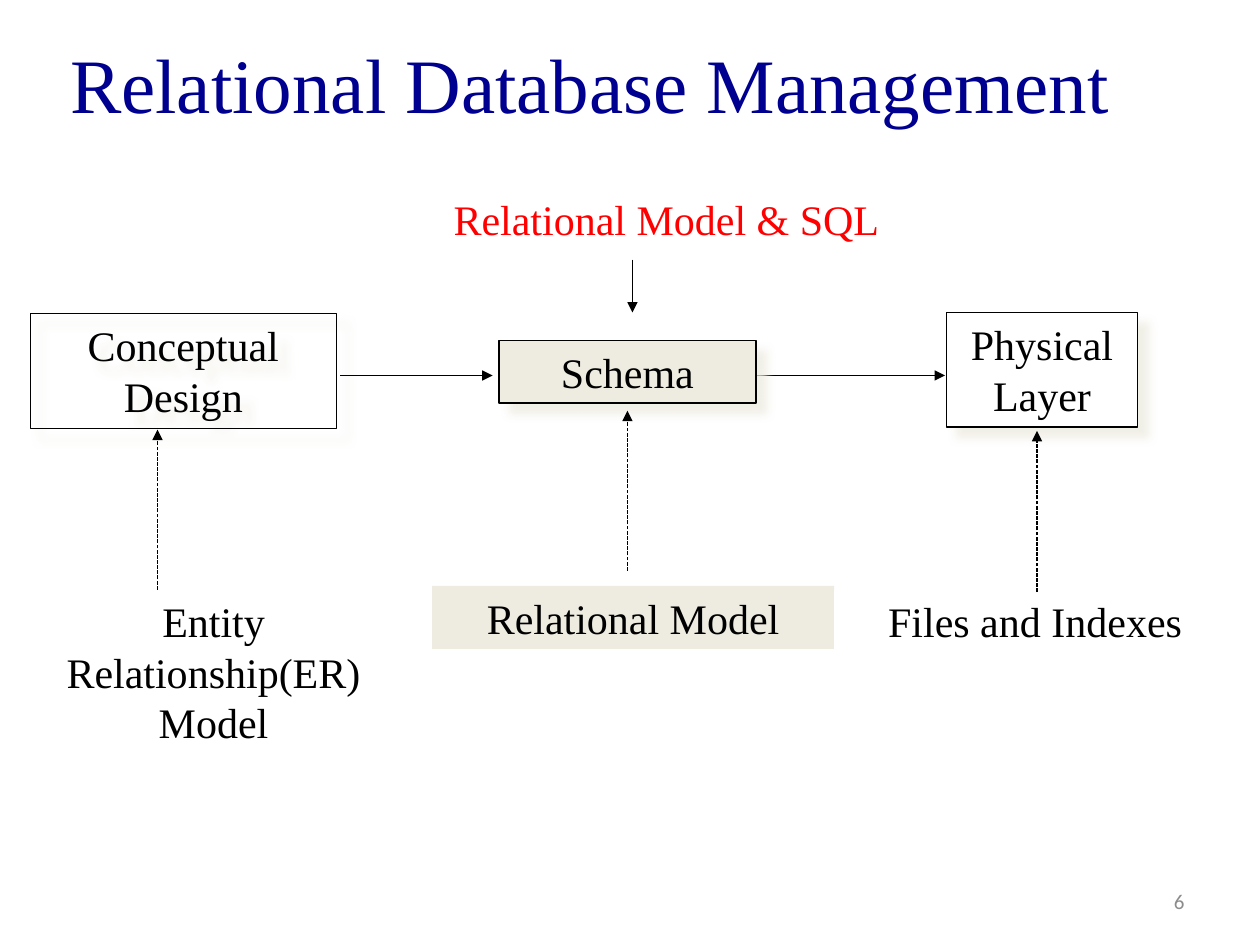
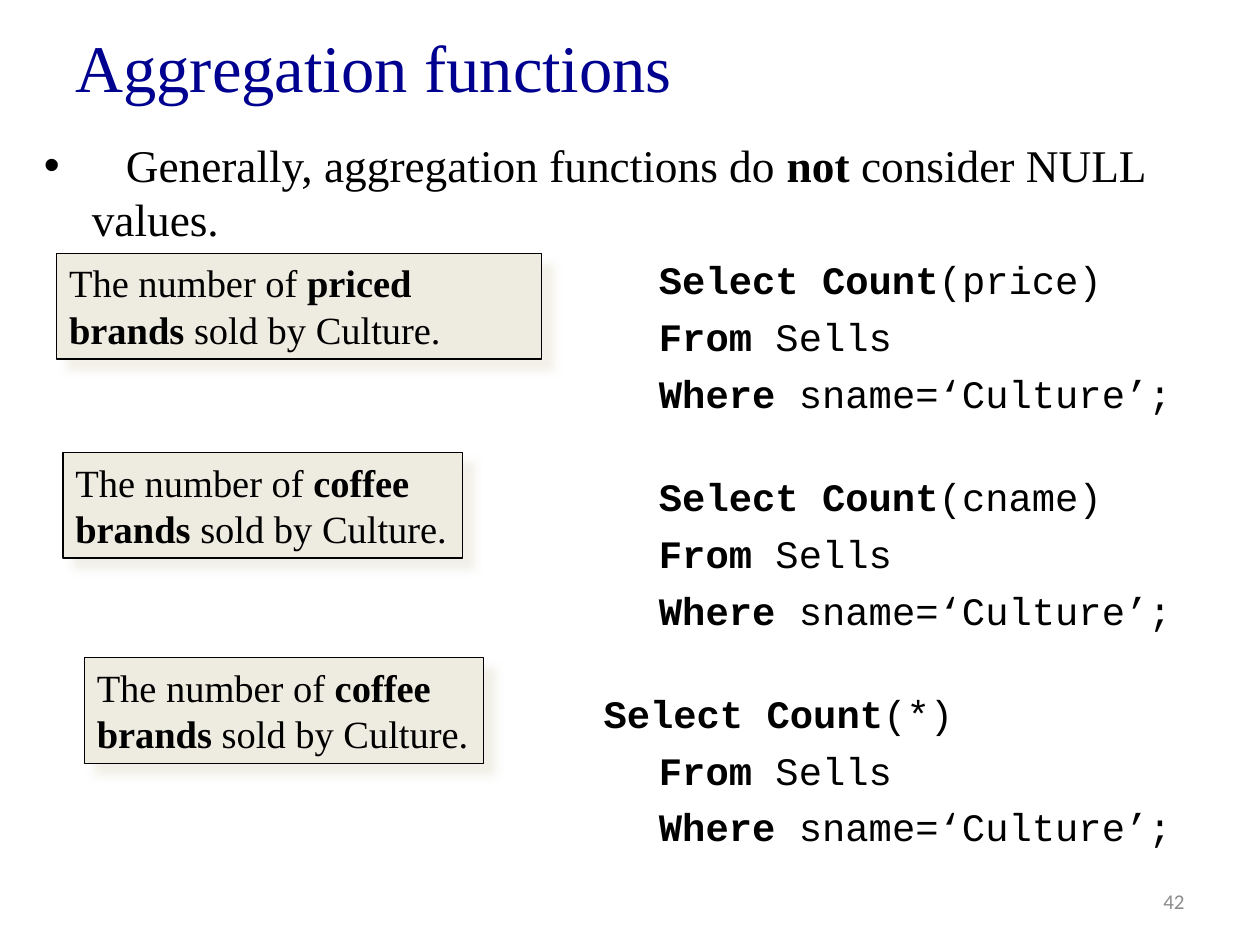
"""Builds two database course slides: a design overview and aggregation functions."""
import pptx
import pptx.dml.color
import pptx.enum.dml
import pptx.enum.shapes
import pptx.enum.text
import pptx.oxml
import pptx.oxml.ns
import pptx.util
from lxml import etree

Inches, Pt = pptx.util.Inches, pptx.util.Pt
ALIGN, ANCHOR = pptx.enum.text.PP_ALIGN, pptx.enum.text.MSO_ANCHOR
qn = pptx.oxml.ns.qn

THEME = {
    "navy": "000090", "black": "000000", "red": "FF0000", "grey": "8C8C8C",
    "cream": "EEECE1", "white": "FFFFFF",
    "serif": "Times New Roman", "mono": "Courier New", "sans": "Calibri",
    "label": 24, "callout": 22, "bullet": 25.9, "code": 22.2, "number": 12,
    "line": 0.75,
}

OVERVIEW = {
    "title": ("Relational Database Management", 44, (0.46, 0.03, 9, 1.25)),
    "number": "6",
    "stages": [
        ("Conceptual Design", (0.24, 2.49, 2.43, 0.91), None),
        ("Physical Layer", (7.51, 2.48, 1.52, 0.91), "white"),
    ],
    "flows": [((2.7, 2.98), (3.91, 2.98)), ((6, 2.98), (7.5, 2.98)),
              ((5.02, 2.06), (5.02, 2.48))],
    "schema": ("Schema", (3.96, 2.7, 2.04, 0.5), "cream"),
    "models": [
        ("Entity Relationship(ER) Model", (0.1, 4.68, 3.19, 0.91), None, "black"),
        ("Relational Model", (3.43, 4.65, 3.19, 0.5), "cream", "black"),
        ("Files and Indexes", (6.62, 4.68, 3.19, 0.5), "white", "black"),
        ("Relational Model & SQL", (3.44, 1.49, 3.7, 0.5), "white", "red"),
    ],
    "supports": [((1.25, 4.68), (1.25, 3.41)), ((4.98, 4.53), (4.98, 3.26)),
                 ((8.23, 4.7), (8.23, 3.42))],
}

AGGREGATION = {
    "title": ("Aggregation functions", 38, (0.5, 0.05, 9.3, 0.94)),
    "number": "42",
    "bullet": [("\tGenerally, aggregation functions do ", False), ("not ", True),
               ("consider NULL values.", False)],
    "queries": [("price", 0), ("cname", 0), ("*", -0.44)],
    "callouts": [("priced brands", (0.45, 2.01, 3.85, 0.84)),
                 ("coffee brands", (0.5, 3.59, 3.17, 0.84)),
                 ("coffee brands", (0.67, 5.22, 3.17, 0.84))],
}
CODE_LEFT, CODE_TOP, CODE_WIDTH, CODE_INDENT = 4.79, 2.03, 5, 0.44
CODE_STEP, LINES_PER_QUERY = 0.43, 4


def color(name):
    return pptx.dml.color.RGBColor.from_string(THEME[name])


def apply(target, values):
    for name, value in values.items():
        setattr(target, name, value)


def add_runs(p, runs, size, font="serif", tint="black"):
    for text, bold in runs:
        r = p.add_run()
        r.text = text
        apply(r.font, {"size": Pt(size), "name": THEME[font], "bold": bold})
        r.font.color.rgb = color(tint)


def set_indent(p, left, first):
    pPr = p._p.get_or_add_pPr()
    pPr.set("marL", str(Inches(left)))
    pPr.set("indent", str(Inches(first)))
    return pPr


def add_text(s, at, runs, size, font="serif", tint="black", align=ALIGN.LEFT,
             anchor=ANCHOR.TOP):
    sp = s.shapes.add_textbox(*map(Inches, at))
    tf = sp.text_frame
    apply(tf, {"word_wrap": True, "vertical_anchor": anchor})
    p = tf.paragraphs[0]
    p.alignment = align
    add_runs(p, runs, size, font, tint)
    return sp


def add_shadow(sp):
    sp._element.spPr.append(pptx.oxml.parse_xml(
        '<a:effectLst xmlns:a="http://schemas.openxmlformats.org/drawingml/2006/main">'
        f'<a:outerShdw blurRad="{Pt(5)}" dist="{Pt(8.5)}" dir="2700000" algn="tl" rotWithShape="0">'
        f'<a:srgbClr val="{THEME["cream"]}"><a:alpha val="75000"/></a:srgbClr>'
        '</a:outerShdw></a:effectLst>'))


def add_box(s, at, runs, size, fill, tint="black", align=ALIGN.CENTER, framed=True):
    sp = s.shapes.add_shape(pptx.enum.shapes.MSO_SHAPE.RECTANGLE, *map(Inches, at))
    if fill:
        sp.fill.solid()
        sp.fill.fore_color.rgb = color(fill)
    else:
        sp.fill.background()
    if framed:
        sp.line.color.rgb = color("black")
        sp.line.width = Pt(THEME["line"])
        add_shadow(sp)
    else:
        sp.line.fill.background()
        sp.shadow.inherit = False
    tf = sp.text_frame
    apply(tf, {"word_wrap": True, "vertical_anchor": ANCHOR.TOP})
    tf.paragraphs[0].alignment = align
    add_runs(tf.paragraphs[0], runs, size, tint=tint)


def add_arrow(s, start, end, dashed=False):
    c = s.shapes.add_connector(pptx.enum.shapes.MSO_CONNECTOR.STRAIGHT,
                               *map(Inches, start + end))
    c.line.color.rgb = color("black")
    c.line.width = Pt(THEME["line"])
    if dashed:
        c.line.dash_style = pptx.enum.dml.MSO_LINE.SQUARE_DOT
    etree.SubElement(c.line._get_or_add_ln(), qn("a:tailEnd"), type="triangle")
    etree.SubElement(c._element.spPr, qn("a:effectLst"))


def add_slide(prs, content):
    s = prs.slides.add_slide(prs.slide_layouts[6])
    text, size, at = content["title"]
    add_text(s, at, [(text, False)], size, tint="navy", anchor=ANCHOR.MIDDLE)
    add_text(s, (7.17, 6.95, 2.33, 0.4), [(content["number"], False)],
             THEME["number"], "sans", "grey", ALIGN.RIGHT, ANCHOR.MIDDLE)
    return s


def build_overview(prs):
    s = add_slide(prs, OVERVIEW)
    for text, at, fill in OVERVIEW["stages"]:
        add_box(s, at, [(text, False)], THEME["label"], fill)
    for start, end in OVERVIEW["flows"]:
        add_arrow(s, start, end)
    text, at, fill = OVERVIEW["schema"]
    add_box(s, at, [(text, False)], THEME["label"], fill)
    for text, at, fill, tint in OVERVIEW["models"]:
        add_box(s, at, [(text, False)], THEME["label"], fill, tint, framed=False)
    for start, end in OVERVIEW["supports"]:
        add_arrow(s, start, end, dashed=True)


def add_bullet(s):
    sp = add_text(s, (0.25, 1.04, 9.55, 1), [], THEME["bullet"])
    p = sp.text_frame.paragraphs[0]
    pPr = set_indent(p, 0.38, -0.38)
    etree.SubElement(pPr, qn("a:buFont"), typeface="Arial")
    etree.SubElement(pPr, qn("a:buChar"), char="•")
    tabs = etree.SubElement(pPr, qn("a:tabLst"))
    etree.SubElement(tabs, qn("a:tab"), pos=str(Inches(0.65)), algn="l")
    add_runs(p, AGGREGATION["bullet"], THEME["bullet"])


def add_query(s, index, column, first_indent):
    lines = [[("Select Count", True), (f"({column})", False)],
             [("From", True), (" Sells", False)],
             [("Where ", True), ("sname=‘Culture’;", False)]]
    top = CODE_TOP + index * LINES_PER_QUERY * CODE_STEP
    sp = s.shapes.add_textbox(*map(Inches, (CODE_LEFT, top, CODE_WIDTH, 3 * CODE_STEP)))
    tf = sp.text_frame
    apply(tf, {"word_wrap": True, "margin_left": 0, "margin_right": 0,
               "margin_top": 0, "margin_bottom": 0})
    for i, runs in enumerate(lines):
        p = tf.add_paragraph() if i else tf.paragraphs[0]
        set_indent(p, CODE_INDENT, 0 if i else first_indent)
        if i:
            p.space_before = Pt(5.9)
        add_runs(p, runs, THEME["code"], "mono")


def build_aggregation(prs):
    s = add_slide(prs, AGGREGATION)
    add_bullet(s)
    for index, (column, first_indent) in enumerate(AGGREGATION["queries"]):
        add_query(s, index, column, first_indent)
    for subject, at in AGGREGATION["callouts"]:
        runs = [("The number of ", False), (subject, True), (" sold by Culture.", False)]
        add_box(s, at, runs, THEME["callout"], "cream", align=ALIGN.LEFT)


def main():
    prs = pptx.Presentation()
    apply(prs, {"slide_width": Inches(10), "slide_height": Inches(7.5)})
    build_overview(prs)
    build_aggregation(prs)
    prs.save("out.pptx")


if __name__ == "__main__":
    main()
